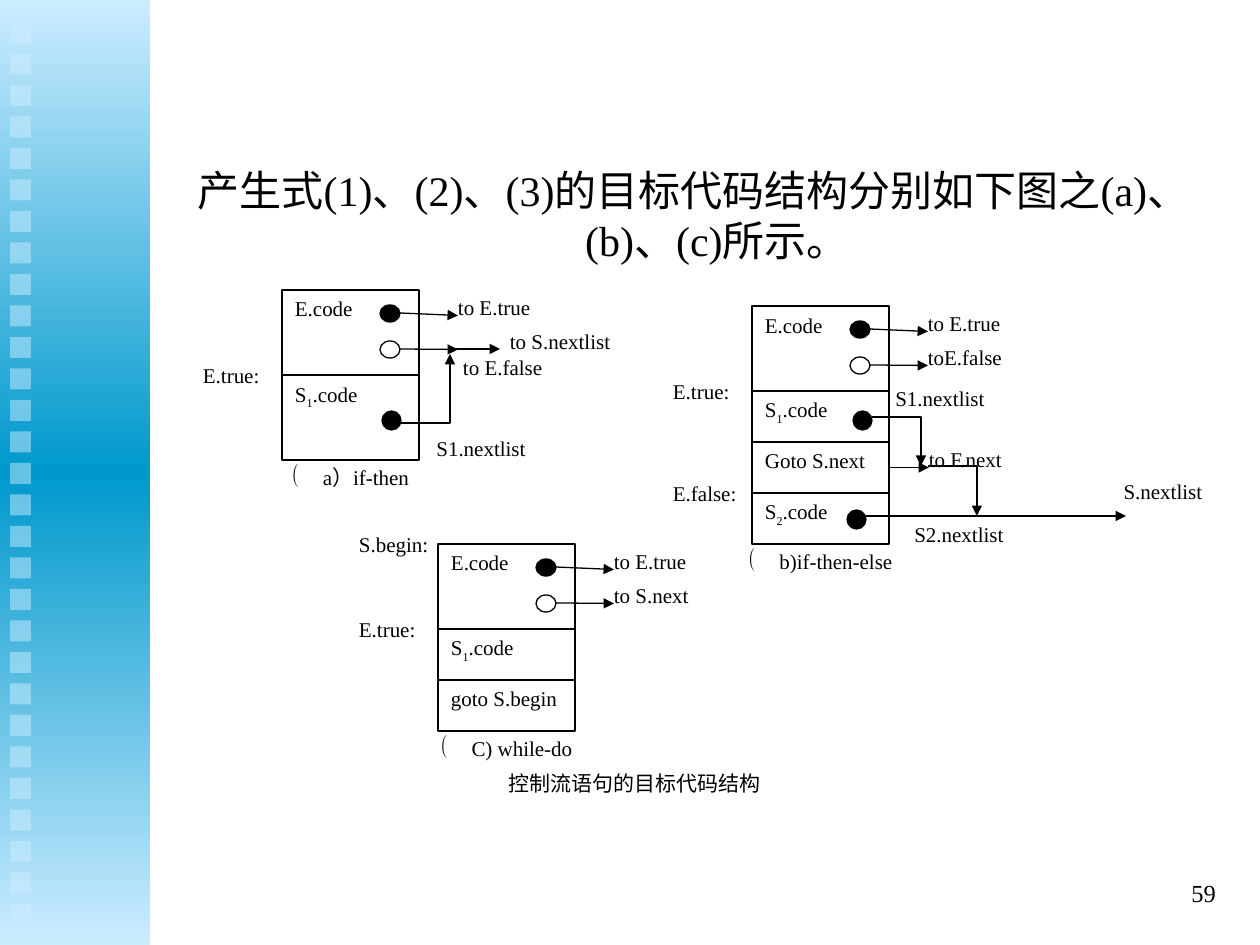
from copy import deepcopy
from dataclasses import dataclass

from lxml.etree import SubElement
from pptx import Presentation
from pptx.dml.color import RGBColor
from pptx.enum.shapes import MSO_CONNECTOR, MSO_SHAPE
from pptx.enum.text import MSO_ANCHOR, PP_ALIGN
from pptx.oxml.ns import qn
from pptx.util import Emu, Pt

PX = 914400 / 126
TOP, LEFT, RIGHT = 0, 1, 3  # sides of a box; TOP also means "no offset"
COLUMN, TALL, ROW = 137, 85, 51
ARROW_END = 176


@dataclass(frozen=True)
class Theme:
    font: str = "Times New Roman"
    ink: RGBColor = RGBColor(0x00, 0x00, 0x00)
    paper: RGBColor = RGBColor(0xFF, 0xFF, 0xFF)
    pale: RGBColor = RGBColor(0xCC, 0xEC, 0xFF)
    deep: RGBColor = RGBColor(0x00, 0x99, 0xCC)
    lead_size: Pt = Pt(24)
    label_size: Pt = Pt(12)
    number_size: Pt = Pt(14)
    line: Pt = Pt(0.75)


THEME = Theme()


def px(*lengths):
    return [Emu(round(length * PX)) for length in lengths]


def write(paragraph, text, size=THEME.label_size, align=PP_ALIGN.JUSTIFY,
          margin=0, hanging=0, bullet=None):
    """Fill a paragraph; an underscore lowers the character after it."""
    base, _, rest = text.partition("_")
    for piece, lowered in ((base, False), (rest[:1], True), (rest[1:], False)):
        if piece:
            run = paragraph.add_run()
            run.text = piece
            if lowered:
                run._r.get_or_add_rPr().set("baseline", "-25000")
    paragraph.alignment = align
    paragraph.space_before = Pt(0)
    properties = paragraph._p.get_or_add_pPr()
    margin_emu, indent_emu = px(margin, -hanging)
    properties.set("marL", str(margin_emu))
    properties.set("indent", str(indent_emu))
    if bullet:
        SubElement(properties, qn("a:buChar")).set("char", bullet)
    else:
        SubElement(properties, qn("a:buNone"))
    paragraph.font.name = THEME.font
    paragraph.font.size = size
    paragraph.font.color.rgb = THEME.ink


def set_frame(frame, side, end, anchor=MSO_ANCHOR.TOP):
    frame.word_wrap = True
    frame.vertical_anchor = anchor
    frame.margin_left = frame.margin_right = px(side)[0]
    frame.margin_top = frame.margin_bottom = px(end)[0]


def add_label(slide, text, left, top, width=98, height=ROW, side=0, end=5,
              anchor=MSO_ANCHOR.TOP, **style):
    label = slide.shapes.add_textbox(*px(left, top, width, height))
    set_frame(label.text_frame, side, end, anchor)
    write(label.text_frame.paragraphs[0], text, **style)
    return label


def add_outlined(slide, kind, left, top, width, height, fill=None):
    shape = slide.shapes.add_shape(kind, *px(left, top, width, height))
    shape.shadow.inherit = False
    if fill is None:
        shape.fill.background()
    else:
        shape.fill.solid()
        shape.fill.fore_color.rgb = fill
    shape.line.color.rgb = THEME.ink
    shape.line.width = THEME.line
    return shape


def add_code_box(slide, text, left, top, height):
    box = add_outlined(slide, MSO_SHAPE.RECTANGLE, left, top, COLUMN, height, THEME.paper)
    set_frame(box.text_frame, 13, 6)
    if text.startswith("goto"):
        box.text_frame.margin_right = px(3)[0]
    write(box.text_frame.paragraphs[0], text)
    return box


def add_dot(slide, left, top, width=19, height=19, fill=THEME.ink):
    add_outlined(slide, MSO_SHAPE.OVAL, left, top, width, height, fill)


def finish_arrow(arrow):
    arrow.line.color.rgb = THEME.ink
    arrow.line.width = THEME.line
    SubElement(arrow.line._get_or_add_ln(), qn("a:tailEnd")).set("type", "triangle")


def add_arrow(slide, start, end):
    arrow = slide.shapes.add_connector(MSO_CONNECTOR.STRAIGHT, *px(*start, *end))
    finish_arrow(arrow)
    SubElement(arrow._element.spPr, qn("a:effectLst"))
    return arrow


def add_elbow_arrow(slide, start, end):
    """Run horizontally from start, then vertically to end."""
    builder = slide.shapes.build_freeform(*start, scale=PX)
    builder.add_line_segments([(end[0], start[1]), end], close=False)
    elbow = builder.convert_to_shape()
    elbow.shadow.inherit = False
    elbow.fill.background()
    finish_arrow(elbow)


def add_sidebar(slide):
    band = slide.shapes.add_shape(MSO_SHAPE.RECTANGLE, *px(0, 0, 150, 945))
    band.shadow.inherit = False
    band.line.fill.background()
    band.fill.gradient()
    band.fill.gradient_angle = 90
    stops = band._element.spPr.find(qn("a:gradFill")).find(qn("a:gsLst"))
    stops.insert(1, deepcopy(stops[0]))
    colours = (THEME.pale, THEME.deep, THEME.pale)
    for stop, colour, place in zip(band.fill.gradient_stops, colours, (0, 0.5, 1)):
        stop.color.rgb = colour
        stop.position = place
    for index in range(29):
        square = slide.shapes.add_shape(
            MSO_SHAPE.RECTANGLE, *px(10, 22 + 31.5 * index, 21, 21))
        square.shadow.inherit = False
        square.line.fill.background()
        square.fill.solid()
        square.fill.fore_color.rgb = THEME.pale
        colour = square._element.spPr.find(qn("a:solidFill"))[0]
        SubElement(colour, qn("a:alpha")).set("val", "50000")


def add_structure(slide, left, top, rows, exits, side_labels, caption, caption_width):
    """Draw a column of code boxes with its exits, side labels and caption."""
    boxes, bottom = [], top
    for text, height in rows:
        boxes.append(add_code_box(slide, text, left, bottom, height))
        bottom += height
    exit_labels = []
    for index, (text, fill) in enumerate(zip(exits, (THEME.ink, None))):
        dot_top = top + 15 + 36 * index
        add_dot(slide, left + 98, dot_top, 20, 17, fill)
        label = add_label(slide, text, left + ARROW_END, top + 34 * index, width=176)
        arrow = add_arrow(slide, (left + 118, dot_top + 8),
                          (left + ARROW_END, dot_top + 9))
        arrow.end_connect(label, LEFT)
        exit_labels.append(label)
    for text, offset in side_labels:
        add_label(slide, text, left - 79, top + offset)
    add_label(slide, caption, left + (COLUMN - caption_width) // 2, bottom,
              caption_width, align=PP_ALIGN.CENTER, margin=31, hanging=31, bullet="(")
    return boxes, exit_labels


def add_list_label(slide, text, left, top):
    add_label(slide, text, left, top, 136, 38, 13, 6, align=PP_ALIGN.CENTER)


def add_if_then(slide):
    _, (_, false_exit) = add_structure(
        slide, 282, 290, [("E.code", TALL), ("S_1.code", TALL)],
        ["to E.true", ""], [("E.true:", 68)], "a）if-then", COLUMN)
    frame = false_exit.text_frame
    write(frame.paragraphs[0], "to S.nextlist", margin=52)
    write(frame.add_paragraph(), "to E.false", margin=5)
    add_dot(slide, 382, 411)
    add_elbow_arrow(slide, (401, 423), (450, 354))
    add_list_label(slide, "S1.nextlist", 413, 430)
    add_arrow(slide, (450, 349), (500, 349))


def add_if_then_else(slide):
    boxes, _ = add_structure(
        slide, 752, 306,
        [("E.code", TALL), ("S_1.code", ROW), ("Goto S.next", ROW), ("S_2.code", ROW)],
        ["to E.true", "toE.false"], [("E.true:", 68), ("E.false:", 170)],
        "b)if-then-else", 215)
    next_label = add_label(slide, "to F.next", 929, 442)
    next_arrow = add_arrow(slide, (889, 468), (929, 468))
    next_arrow.begin_connect(boxes[2], RIGHT)
    next_arrow.end_connect(next_label, LEFT)
    # Lists merging into S.nextlist
    add_dot(slide, 853, 411)
    add_dot(slide, 847, 510)
    add_elbow_arrow(slide, (872, 417), (921, 466))
    add_elbow_arrow(slide, (928, 466), (977, 516))
    add_arrow(slide, (866, 516), (1126, 516))
    for text, left, top in (("S1.nextlist", 872, 380), ("S2.nextlist", 891, 516),
                            ("S.nextlist", 1095, 473)):
        add_list_label(slide, text, left, top)


def add_while_do(slide):
    add_structure(
        slide, 438, 544, [("E.code", TALL), ("S_1.code", ROW), ("goto S.begin", ROW)],
        ["to E.true", "to S.next"], [("S.begin:", -17), ("E.true:", 68)],
        "C) while-do", 215)


def main():
    presentation = Presentation()
    presentation.slide_width, presentation.slide_height = px(1260, 945)
    slide = presentation.slides.add_slide(presentation.slide_layouts[1])
    title = slide.shapes.title._element
    title.getparent().remove(title)
    add_sidebar(slide)

    # Lead sentence
    lead = slide.placeholders[1]
    lead.left, lead.top, lead.width, lead.height = px(158, 158, 1071, 683)
    set_frame(lead.text_frame, 13, 6)
    write(lead.text_frame.paragraphs[0],
          "产生式(1)、(2)、(3)的目标代码结构分别如下图之(a)、(b)、(c)所示。",
          THEME.lead_size, PP_ALIGN.CENTER, margin=47, hanging=47)

    # The three code structures
    add_if_then(slide)
    add_if_then_else(slide)
    add_while_do(slide)

    # Figure caption and slide number
    add_label(slide, "控制流语句的目标代码结构", 262, 766, 746, align=PP_ALIGN.CENTER)
    add_label(slide, "59", 967, 861, 262, 63, 13, 6, MSO_ANCHOR.MIDDLE,
              size=THEME.number_size, align=PP_ALIGN.RIGHT)
    presentation.save("out.pptx")


if __name__ == "__main__":
    main()
